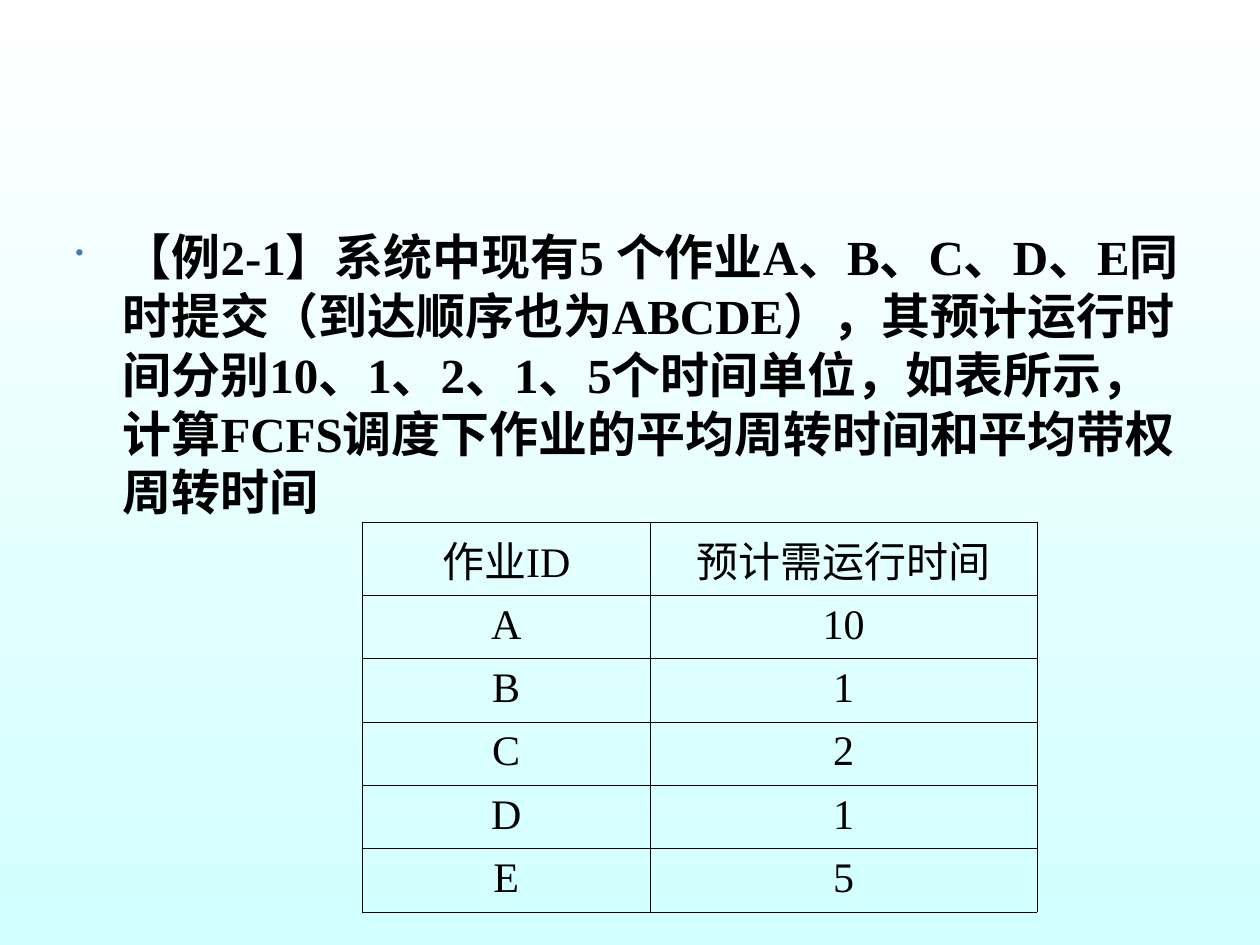
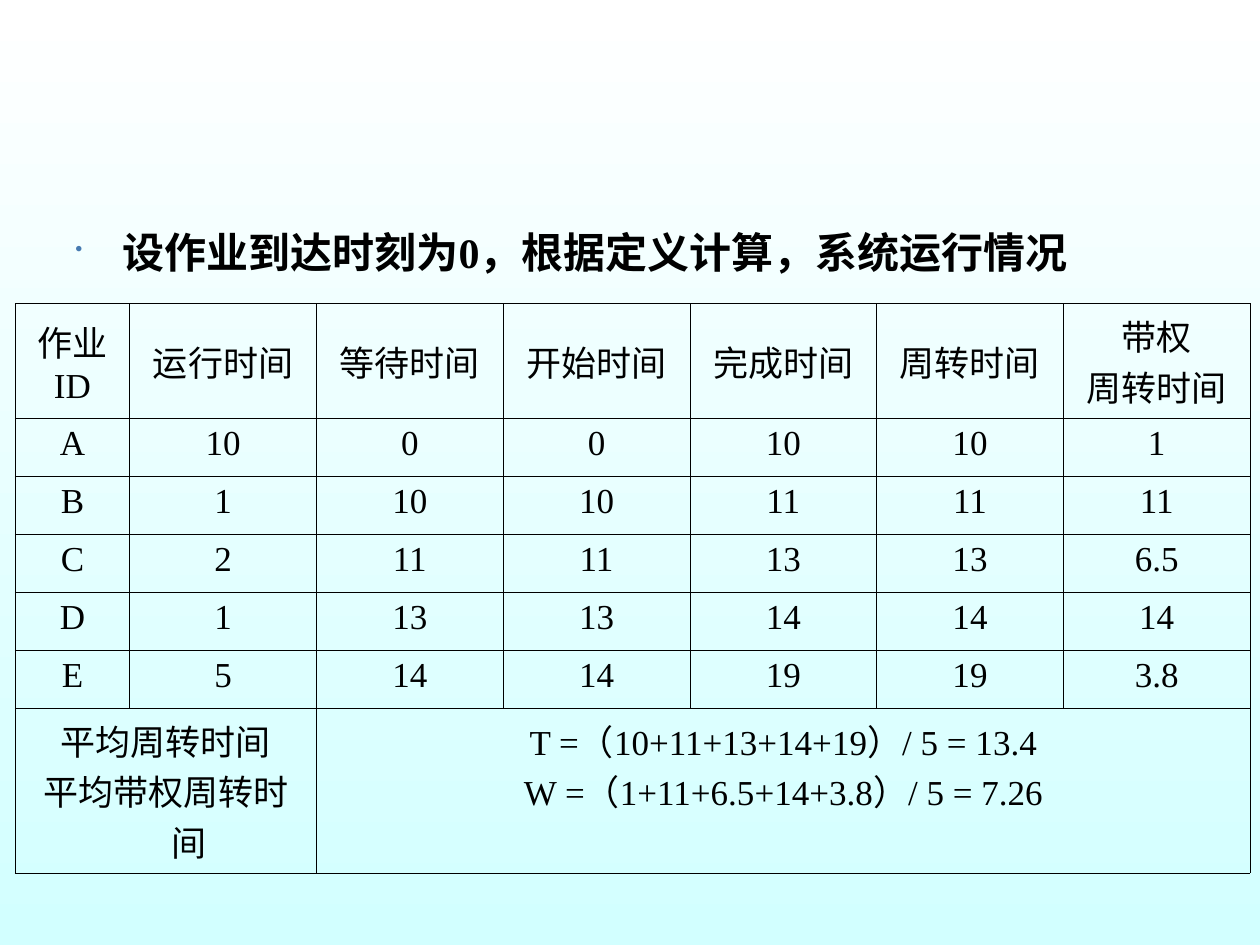
from dataclasses import dataclass

from lxml.etree import SubElement
from pptx import Presentation
from pptx.dml.color import RGBColor as RGB
from pptx.enum.text import MSO_ANCHOR as Anchor, PP_ALIGN as Align
from pptx.oxml.ns import qn
from pptx.util import Inches, Pt


@dataclass(frozen=True)
class Theme:
    """Colours, type sizes and line weight shared by the slides."""
    font: str = "Times New Roman"
    ink: str = "000000"
    dot: str = "477AB1"
    sky: tuple = ("FFFFFF", "D2FFFF")
    large: int = 28
    mid: int = 24
    small: int = 20
    rule: float = 0.45
    hang: float = 3.75


LOOK = Theme()
WIDE, HIGH = Inches(10), Inches(7.5)
COLS, ROWS = 100, 75


def across(cols):
    """Turn grid columns into a length."""
    return round(WIDE * cols / COLS)


def down(rows):
    """Turn grid rows into a length."""
    return round(HIGH * rows / ROWS)


def place(left, top, width, height):
    """Turn a grid box into slide lengths."""
    return across(left), down(top), across(width), down(height)


def apply(item, values):
    """Set each named value on an item."""
    for name, value in values.items():
        setattr(item, name, value)


def style(para, size, bold=False):
    """Give a paragraph the shared font and ink."""
    apply(para.font, {"name": LOOK.font, "size": Pt(size), "bold": bold})
    para.font.color.rgb = RGB.from_string(LOOK.ink)


def indent(para):
    """Hang the first line of a paragraph."""
    props = para._p.get_or_add_pPr()
    props.set("marL", str(across(LOOK.hang)))
    props.set("indent", str(-across(LOOK.hang)))
    return props


def paint(master):
    """Lay the shared gradient behind every slide."""
    fill = master.background.fill
    fill.gradient()
    fill.gradient_angle = 270
    for stop, tone in zip(fill.gradient_stops, LOOK.sky):
        stop.color.rgb = RGB.from_string(tone)


def bullet(slide, text, size, height):
    """Add the bold bulleted statement of a slide."""
    frame = slide.shapes.add_textbox(*place(5, 17.5, 89.9, height)).text_frame
    apply(frame, {"word_wrap": True, "text": text})
    para = frame.paragraphs[0]
    props = indent(para)
    tint = SubElement(props, qn("a:buClr"))
    SubElement(tint, qn("a:srgbClr"), val=LOOK.dot)
    SubElement(props, qn("a:buSzPct"), val="50000")
    SubElement(props, qn("a:buChar"), char="•")
    style(para, size, True)


def outline(cell):
    """Clear a cell's fill and rule its four sides."""
    cell.fill.background()
    props = cell._tc.get_or_add_tcPr()
    for spot, side in enumerate("LRTB"):
        line = SubElement(props, qn(f"a:ln{side}"), w=str(Pt(LOOK.rule)))
        fill = SubElement(line, qn("a:solidFill"))
        SubElement(fill, qn("a:srgbClr"), val=LOOK.ink)
        props.insert(spot, line)


def write(cell, text, size, hang=True):
    """Write centred lines in a cell."""
    cell.text_frame.text = text
    for para in cell.text_frame.paragraphs:
        para.alignment = Align.CENTER
        if hang:
            indent(para)
        style(para, size)


def grid(slide, spot, widths, heights, data, size, flush=()):
    """Add a ruled table; flush lists texts without a hanging indent."""
    box = place(*spot, sum(widths), sum(heights))
    table = slide.shapes.add_table(len(heights), len(widths), *box).table
    apply(table, {"first_row": False, "horz_banding": False})
    for col, width in zip(table.columns, widths):
        col.width = across(width)
    for row, height in zip(table.rows, heights):
        row.height = down(height)
    for row, texts in zip(table.rows, data):
        for cell, text in zip(row.cells, texts):
            write(cell, text, size, text not in flush)
    for cell in table.iter_cells():
        outline(cell)
    return table


def pose(slide):
    """State the task and list the jobs."""
    bullet(slide, "【例2-1】系统中现有5 个作业A、B、C、D、E同时提交"
           "（到达顺序也为ABCDE），其预计运行时间分别10、1、2、1、5个时间单位，"
           "如表所示，计算FCFS调度下作业的平均周转时间和平均带权周转时间",
           LOOK.large, 52.3)
    jobs = [("作业ID", "预计需运行时间"), *zip("ABCDE", ("10", "1", "2", "1", "5"))]
    grid(slide, (28.75, 41.45), (22.85, 30.7), [5.8] + [5.03] * 5, jobs, LOOK.mid)


def solve(slide):
    """Show the run of each job and the mean times."""
    bullet(slide, "设作业到达时刻为0，根据定义计算，系统运行情况", LOOK.mid, 7.4)
    first, last = "作业ID", "带权\n周转时间"
    heads = (first, "运行时间", "等待时间", "开始时间", "完成时间", "周转时间", last)
    runs = (
        ("A", "10", "0", "0", "10", "10", "1"),
        ("B", "1", "10", "10", "11", "11", "11"),
        ("C", "2", "11", "11", "13", "13", "6.5"),
        ("D", "1", "13", "13", "14", "14", "14"),
        ("E", "5", "14", "14", "19", "19", "3.8"),
    )
    table = grid(slide, (1.2, 24.1), [9.1] + [14.82] * 6, [9.1] + [4.6] * 5 + [13.1],
                 (heads, *runs), LOOK.small, (first, last))
    for cell in table.rows[0].cells:
        cell.vertical_anchor = Anchor.MIDDLE
    means = ((0, 1, "平均周转时间\n平均带权周转时间"),
             (2, 6, "T =（10+11+13+14+19）/ 5 = 13.4\n"
                    "W =（1+11+6.5+14+3.8）/ 5 = 7.26"))
    for start, end, text in means:
        cell = table.cell(6, start)
        cell.merge(table.cell(6, end))
        write(cell, text, LOOK.small)


def main():
    """Build and save the slides."""
    deck = Presentation()
    apply(deck, {"slide_width": WIDE, "slide_height": HIGH})
    paint(deck.slide_master)
    for build in (pose, solve):
        build(deck.slides.add_slide(deck.slide_layouts[6]))
    deck.save("out.pptx")


if __name__ == "__main__":
    main()
